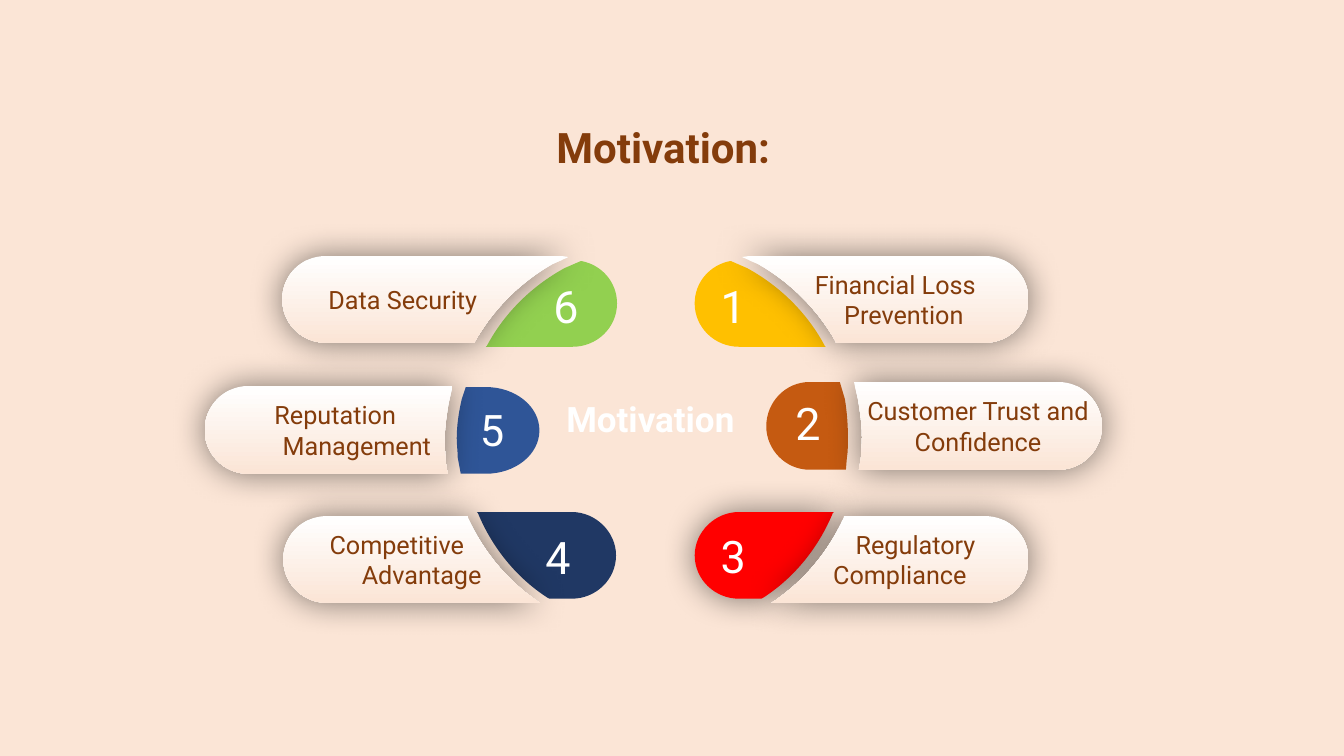
from lxml import etree
from pptx import Presentation
from pptx.dml.color import RGBColor
from pptx.enum.text import MSO_ANCHOR as Anchor, PP_ALIGN as Align
from pptx.oxml.ns import qn
from pptx.util import Pt

PX = 9144  # 100 px to the inch
FONT = "Roboto"

PEACH = RGBColor(0xFB, 0xE5, 0xD6)
WHITE = RGBColor(0xFF, 0xFF, 0xFF)
BROWN = RGBColor(0x84, 0x3C, 0x0B)
GREEN = RGBColor(0x92, 0xD0, 0x50)
YELLOW = RGBColor(0xFF, 0xC0, 0x00)
ORANGE = RGBColor(0xC5, 0x5A, 0x11)
BLUE = RGBColor(0x2F, 0x55, 0x97)
NAVY = RGBColor(0x20, 0x38, 0x64)
RED = RGBColor(0xFF, 0x00, 0x00)

# Outlines: a pair is a corner, six numbers are a cubic curve to the last pair.
BADGE_1 = [(725, 259), (741, 266), (774, 284, 801, 311, 818, 343), (819, 344),
           (733, 344), (709, 344, 689, 325, 689, 301),
           (689, 280, 704, 263, 724, 259)]
BADGE_2 = [(803, 379), (833, 379), (838, 396), (840, 408, 841, 421, 841, 434),
           (841, 441, 841, 448, 840, 454), (839, 466), (803, 466),
           (779, 466, 760, 446, 760, 423), (760, 399, 779, 379, 803, 379)]
BADGE_3 = [(733, 508), (827, 508), (826, 509), (812, 543, 788, 573, 757, 593),
           (755, 594), (733, 594), (709, 594, 689, 575, 689, 551),
           (689, 528, 709, 508, 733, 508)]
BADGE_5 = [(462, 384), (482, 384), (511, 384, 535, 403, 535, 427),
           (535, 451, 511, 470, 482, 470), (457, 470), (454, 454),
           (454, 448, 453, 441, 453, 435), (453, 422, 455, 409, 458, 396)]
PANEL_1 = [(743, 254), (977, 254), (1001, 254, 1020, 273, 1020, 297),
           (1020, 321, 1001, 340, 977, 340), (829, 340), (829, 339),
           (811, 307, 784, 280, 752, 262), (736, 255)]
PANEL_2 = [(847, 379), (1050, 379), (1074, 379, 1093, 399, 1093, 423),
           (1093, 446, 1074, 466, 1050, 466), (852, 466), (854, 454),
           (854, 448, 855, 441, 855, 434), (855, 421, 853, 408, 851, 396)]
PANEL_3 = [(837, 512), (977, 512), (1001, 512, 1020, 531, 1020, 555),
           (1020, 579, 1001, 598, 977, 598), (765, 598), (767, 597),
           (798, 576, 822, 547, 837, 513)]


def mirrored(outline, x_sum, drop=0):
    """Reflect an outline so that each x and its image add up to x_sum."""
    return [tuple(x_sum - value if place % 2 == 0 else value + drop
                  for place, value in enumerate(segment))
            for segment in outline]


def add_outline(page, outline):
    """Draw the corners as a freeform, then bend the segments that are curves."""
    corners = [(segment[-2] * PX, segment[-1] * PX) for segment in outline]
    builder = page.shapes.build_freeform(*corners[0])
    builder.add_line_segments(corners[1:], close=True)
    shape = builder.convert_to_shape()
    shape.shadow.inherit = False
    shape.line.fill.background()
    lines = list(shape._element.iter(qn("a:lnTo")))
    for line, segment in zip(lines, outline[1:]):
        if len(segment) == 6:
            line.addprevious(curve_element(segment, shape.left, shape.top))
            line.getparent().remove(line)
    return shape


def curve_element(segment, left, top):
    curve = etree.Element(qn("a:cubicBezTo"))
    for x, y in zip(segment[::2], segment[1::2]):
        etree.SubElement(curve, qn("a:pt"), x=str(x * PX - left), y=str(y * PX - top))
    return curve


def add_glow(shape):
    """Give the shape a soft black shadow on all sides."""
    effects = shape._element.spPr.find(qn("a:effectLst"))
    shadow = etree.SubElement(effects, qn("a:outerShdw"), blurRad=str(Pt(24)),
                              dist="0", dir="0", algn="ctr", rotWithShape="0")
    color = etree.SubElement(shadow, qn("a:srgbClr"), val="000000")
    etree.SubElement(color, qn("a:alpha"), val="49000")


def style(para, size, color, align, bold=False):
    para.alignment = align
    for span in para.runs:
        span.font.name = FONT
        span.font.size = Pt(size)
        span.font.bold = bold
        span.font.color.rgb = color


def add_badge(page, outline, color):
    shape = add_outline(page, outline)
    shape.fill.solid()
    shape.fill.fore_color.rgb = color
    return shape


def add_panel(page, outline, lines, align=Align.CENTER):
    """Draw a label panel; each line is its text, left margin and first indent."""
    shape = add_outline(page, outline)
    shape.fill.gradient()
    shape.fill.gradient_angle = 270
    for stop, color, position in zip(shape.fill.gradient_stops, (WHITE, PEACH), (0, 1)):
        stop.color.rgb = color
        stop.position = position
    add_glow(shape)
    frame = shape.text_frame
    frame.word_wrap = True
    frame.vertical_anchor = Anchor.MIDDLE
    frame.text = "\n".join(text for text, _, _ in lines)
    for para, (_, margin, indent) in zip(frame.paragraphs, lines):
        properties = para._p.get_or_add_pPr()
        properties.set("marL", str(margin * PX))
        properties.set("indent", str(indent * PX))
        style(para, 18, BROWN, align)


def add_text(page, text, left, top, width, height, size, color,
             align=Align.CENTER, bold=True):
    box = page.shapes.add_textbox(left * PX, top * PX, width * PX, height * PX)
    box.text_frame.word_wrap = True
    box.text_frame.text = text
    style(box.text_frame.paragraphs[0], size, color, align, bold)


def main():
    deck = Presentation()
    deck.slide_width, deck.slide_height = 1333 * PX, 750 * PX
    page = deck.slides.add_slide(deck.slide_layouts[6])
    page.background.fill.solid()
    page.background.fill.fore_color.rgb = PEACH

    add_badge(page, mirrored(BADGE_1, 1301), GREEN)
    add_badge(page, BADGE_1, YELLOW)
    add_badge(page, BADGE_2, ORANGE)
    add_badge(page, BADGE_5, BLUE)
    add_badge(page, mirrored(BADGE_3, 1300), NAVY)
    add_glow(add_badge(page, BADGE_3, RED))

    add_panel(page, PANEL_1, [("Financial Loss", 20, 0), ("Prevention", 37, 0)])
    add_panel(page, mirrored(PANEL_1, 1300), [("Data Security", 36, 0)], Align.LEFT)
    add_panel(page, PANEL_2, [("Customer Trust and Confidence", 0, 0)])
    add_panel(page, mirrored(PANEL_2, 1296, 4),
              [("Reputation", 13, 0), ("Management", 56, 0)])
    add_panel(page, mirrored(PANEL_3, 1301),
              [("Competitive", 36, 0), ("Advantage", 68, 0)], Align.LEFT)
    add_panel(page, PANEL_3, [("Regulatory Compliance", 0, 31)])

    numbers = [("1", 705, 272, 32), ("2", 779, 388, 32), ("3", 705, 520, 32),
               ("6", 539, 272, 32), ("5", 466, 395, 31), ("4", 531, 521, 32)]
    for number, left, top, size in numbers:
        add_text(page, number, left, top, 59, 64, size, WHITE, Align.LEFT, False)

    add_text(page, "Motivation:", 541, 116, 234, 61, 30, BROWN)
    add_text(page, "Motivation", 535, 389, 220, 52, 25, WHITE)
    deck.save("out.pptx")


if __name__ == "__main__":
    main()
